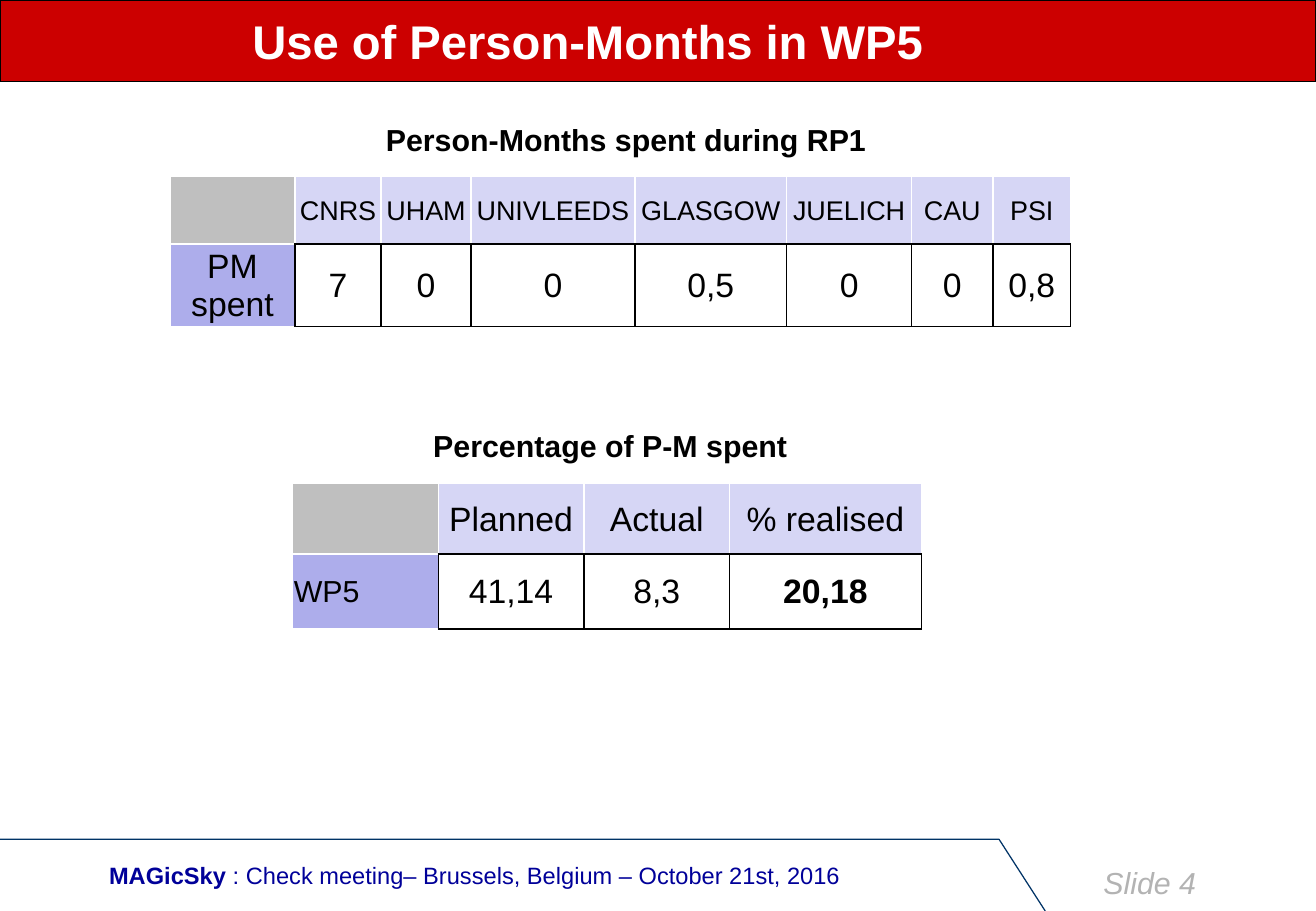
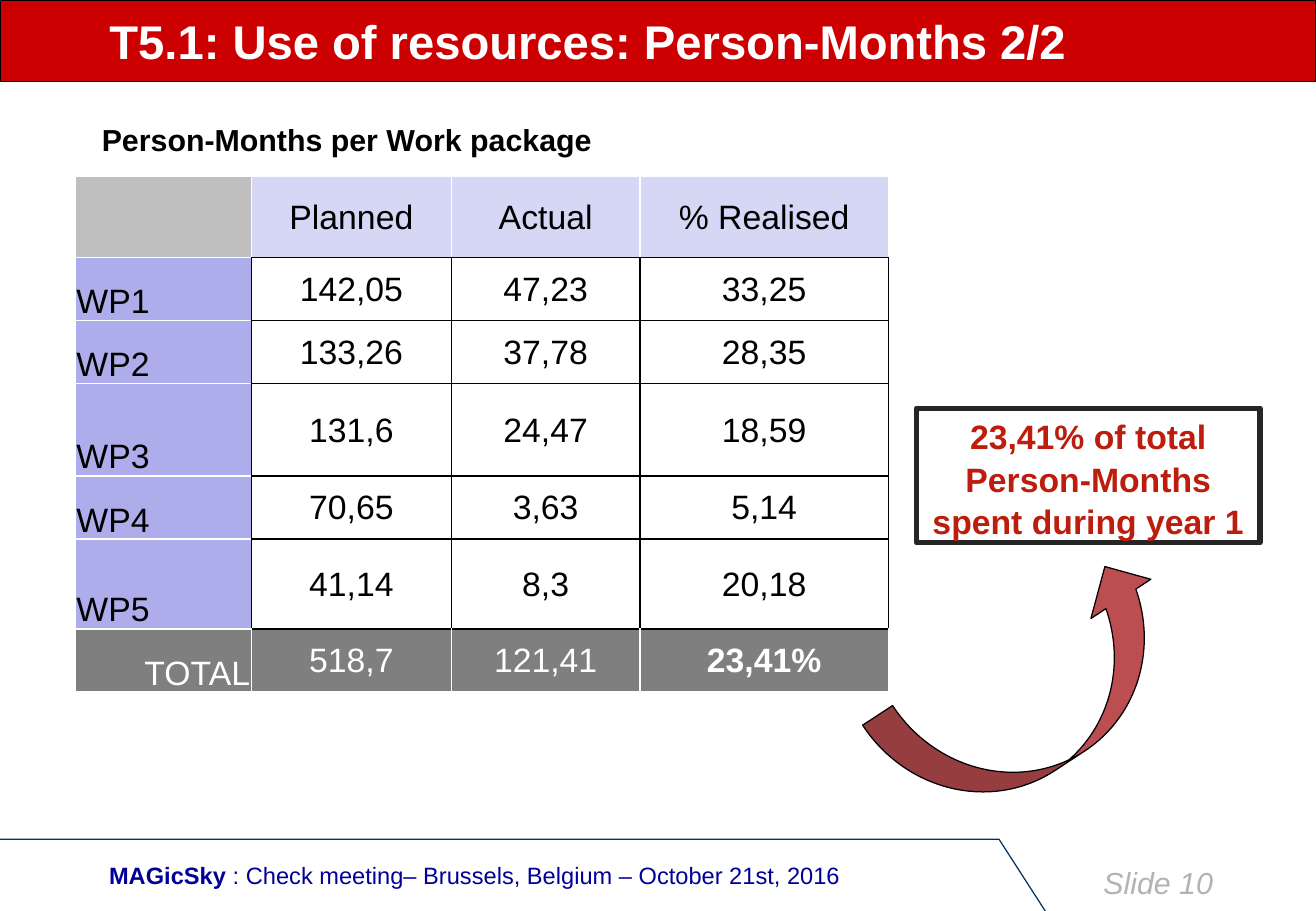
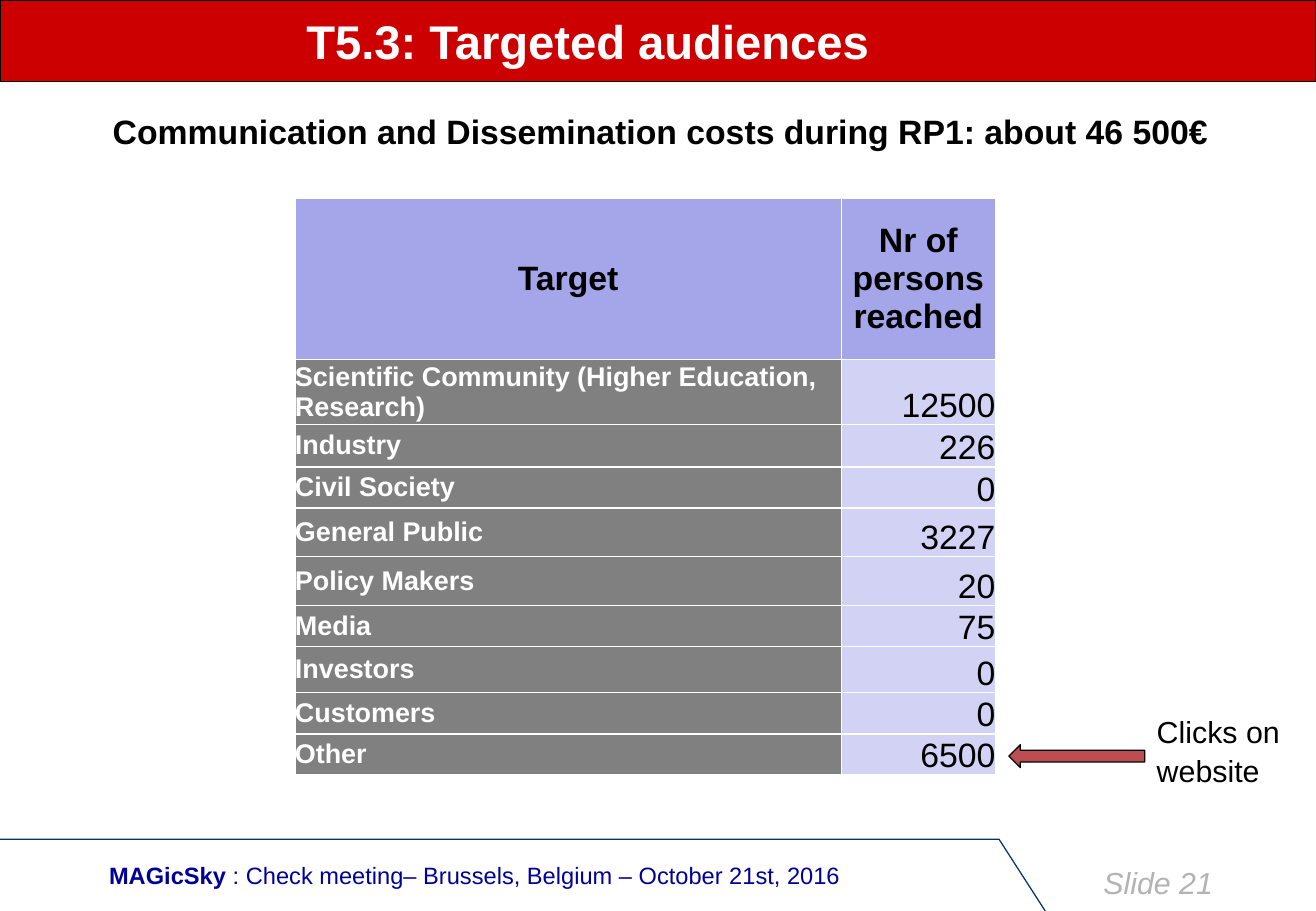
from dataclasses import dataclass

from lxml import etree
from pptx import Presentation
from pptx import util as u
from pptx.dml.color import RGBColor
from pptx.enum import shapes, text
from pptx.oxml import ns

BLACK = RGBColor(0x00, 0x00, 0x00)
WHITE = RGBColor(0xFF, 0xFF, 0xFF)
RED = RGBColor(0xCC, 0x00, 0x00)
NAVY = RGBColor(0x00, 0x33, 0x66)
BLUE = RGBColor(0x00, 0x00, 0x99)
SILVER = RGBColor(0xB3, 0xB3, 0xB3)
CORNER_GREY = RGBColor(0xBF, 0xBF, 0xBF)
TOTAL_GREY = RGBColor(0x7F, 0x7F, 0x7F)
TARGET_GREY = RGBColor(0x80, 0x80, 0x80)
LAVENDER = RGBColor(0xD6, 0xD6, 0xF5)
VIOLET = RGBColor(0xAD, 0xAD, 0xEB)
TARGET_VIOLET = RGBColor(0xA5, 0xA5, 0xE9)
TARGET_LAVENDER = RGBColor(0xD2, 0xD2, 0xF4)
BRICK = RGBColor(0xBC, 0x4D, 0x51)
CRIMSON = RGBColor(0xBC, 0x1D, 0x0C)
CHARCOAL = RGBColor(0x26, 0x26, 0x26)

FONT = "Arial"
GRID = u.Inches(0.1)
COLUMNS, ROWS = 108.4, 75
BAND_ROWS = 6.7
LEFT, CENTER, RIGHT = text.PP_ALIGN.LEFT, text.PP_ALIGN.CENTER, text.PP_ALIGN.RIGHT
MIDDLE, BOTTOM = text.MSO_ANCHOR.MIDDLE, text.MSO_ANCHOR.BOTTOM
SIDES = ("a:lnL", "a:lnR", "a:lnT", "a:lnB")


@dataclass(frozen=True)
class CellStyle:
    fill: RGBColor = None
    size: int = 20
    color: RGBColor = BLACK
    bold: bool = False
    align: int = CENTER
    anchor: int = MIDDLE
    borders: tuple = (WHITE,) * 4
    inset: float = 0.1


CORNER = CellStyle(CORNER_GREY)
HEADER = CellStyle(LAVENDER, borders=(WHITE, WHITE, WHITE, BLACK))
SMALL_HEADER = CellStyle(LAVENDER, 16, borders=HEADER.borders)
LABEL_BORDERS = (WHITE, BLACK, WHITE, WHITE)
LABEL = CellStyle(VIOLET, borders=LABEL_BORDERS)
SMALL_LABEL = CellStyle(VIOLET, 18, align=LEFT, borders=LABEL_BORDERS)
PACKAGE_LABEL = CellStyle(VIOLET, align=LEFT, anchor=BOTTOM, borders=LABEL_BORDERS)
VALUE = CellStyle(borders=(BLACK,) * 4)
TOTAL_LABEL = CellStyle(TOTAL_GREY, color=WHITE, align=RIGHT, anchor=BOTTOM)
TOTAL = CellStyle(TOTAL_GREY, color=WHITE, borders=(WHITE, WHITE, BLACK, WHITE))
TARGET_HEADER = CellStyle(TARGET_VIOLET, bold=True, inset=0)
TARGET_LABEL = CellStyle(TARGET_GREY, 16, WHITE, True, LEFT, inset=0)
TARGET_COUNT = CellStyle(TARGET_LAVENDER, align=RIGHT, anchor=BOTTOM, inset=0)


def grid(*cells):
    return [u.Emu(round(cell * GRID)) for cell in cells]


def format_run(run, size, color, bold=False, italic=False):
    run.font.name = FONT
    run.font.size = u.Pt(size)
    run.font.color.rgb = color
    run.font.bold = bold
    run.font.italic = italic


def write(text_frame, words, size, color, bold=False, italic=False, align=LEFT):
    text_frame.text = words
    paragraph = text_frame.paragraphs[0]
    paragraph.alignment = align
    for run in paragraph.runs:
        format_run(run, size, color, bold, italic)
    return paragraph


class Deck:
    def __init__(self):
        self.presentation = Presentation()
        self.presentation.slide_width, self.presentation.slide_height = grid(COLUMNS, ROWS)
        self.slide = None

    def add_slide(self, title, number):
        self.slide = self.presentation.slides.add_slide(self.presentation.slide_layouts[5])
        heading = self.slide.shapes.title
        heading.left, heading.top, heading.width, heading.height = grid(0, 0, 96.8, BAND_ROWS)
        frame = heading.text_frame
        frame.auto_size = text.MSO_AUTO_SIZE.NONE
        frame.vertical_anchor = MIDDLE
        write(frame, title, 28, WHITE, bold=True, align=CENTER)
        band = self.shape(shapes.MSO_SHAPE.RECTANGLE, (0, 0, COLUMNS, BAND_ROWS), RED)
        heading.element.addprevious(band.element)
        self.footer(number)

    def footer(self, number):
        builder = self.slide.shapes.build_freeform(*grid(0, 69.1))
        builder.add_line_segments([grid(82.3, 69.1), grid(86.1, ROWS)], close=False)
        self.finish(builder.convert_to_shape(), None, NAVY, 0.75)
        self.text(f"Slide {number}", (89.9, 70.5, 13.8, 4), 18, SILVER, italic=True)
        meeting = self.shape(shapes.MSO_SHAPE.RECTANGLE, (8, 70.4, 64.2, 3.3), WHITE, None)
        meeting.text_frame.vertical_anchor = MIDDLE
        paragraph = write(meeting.text_frame, "MAGicSky", 14, BLUE, bold=True)
        place = paragraph.add_run()
        place.text = " : Check meeting– Brussels, Belgium – October 21st, 2016"
        format_run(place, 14, BLUE)

    def finish(self, shape, fill, line, width):
        shape.shadow.inherit = False
        if fill is None:
            shape.fill.background()
        else:
            shape.fill.solid()
            shape.fill.fore_color.rgb = fill
        if line is None:
            shape.line.fill.background()
        else:
            shape.line.color.rgb = line
            shape.line.width = u.Pt(width)

    def shape(self, kind, box, fill=None, line=BLACK, width=0.75):
        shape = self.slide.shapes.add_shape(kind, *grid(*box))
        self.finish(shape, fill, line, width)
        return shape

    def text(self, words, box, size=18, color=BLACK, bold=False, italic=False):
        shape = self.slide.shapes.add_textbox(*grid(*box))
        shape.text_frame.word_wrap = True
        paragraph = write(shape.text_frame, words, size, color, bold, italic)
        paragraph.line_spacing = 1.05

    def callout(self, words, box):
        shape = self.shape(shapes.MSO_SHAPE.RECTANGLE, box, None, CHARCOAL, 3)
        shape.text_frame.vertical_anchor = text.MSO_ANCHOR.TOP
        paragraph = write(shape.text_frame, words, 20, CRIMSON, bold=True, align=CENTER)
        paragraph.line_spacing = 1.05

    def table(self, corner, widths, heights, rows, styles, bold_cell=None):
        box = grid(*corner, sum(widths), sum(heights))
        table = self.slide.shapes.add_table(len(rows), len(widths), *box).table
        table.first_row = table.horz_banding = False
        for column, width in zip(table.columns, grid(*widths)):
            column.width = width
        for row, height in zip(table.rows, grid(*heights)):
            row.height = height
        for r, (words, (first, other)) in enumerate(zip(rows, styles)):
            for c, word in enumerate(words):
                style = other if c else first
                self.cell(table.cell(r, c), word, style, style.bold or (r, c) == bold_cell)

    def cell(self, cell, words, style, bold):
        properties = cell._tc.get_or_add_tcPr()
        for side, color in zip(SIDES, style.borders):
            line = etree.SubElement(properties, ns.qn(side), w=str(u.Pt(1)))
            fill = etree.SubElement(line, ns.qn("a:solidFill"))
            etree.SubElement(fill, ns.qn("a:srgbClr"), val=str(color))
        if style.fill is None:
            cell.fill.background()
        else:
            cell.fill.solid()
            cell.fill.fore_color.rgb = style.fill
        cell.margin_left, cell.margin_right, cell.margin_top = grid(*[style.inset] * 3)
        cell.margin_bottom = 0
        cell.vertical_anchor = style.anchor
        write(cell.text_frame, words, style.size, style.color, bold, align=style.align)


def person_months(deck):
    deck.add_slide("Use of Person-Months in WP5", 4)
    deck.table(
        (24.1, 39.8), (12, 12, 12, 15.8), (5.8, 6.2),
        [("", "Planned", "Actual", "% realised"), ("WP5", "41,14", "8,3", "20,18")],
        [(CORNER, HEADER), (SMALL_LABEL, VALUE)], bold_cell=(1, 3))
    deck.table(
        (14, 14.5), (10.3, 7.1, 7.4, 13.5, 12.5, 10.3, 6.7, 6.4), (5.6, 6.2),
        [("", "CNRS", "UHAM", "UNIVLEEDS", "GLASGOW", "JUELICH", "CAU", "PSI"),
         ("PM spent", "7", "0", "0", "0,5", "0", "0", "0,8")],
        [(CORNER, SMALL_HEADER), (LABEL, VALUE)])
    deck.text("Person-Months spent during RP1", (30.8, 9.3, 43.5, 4), bold=True)
    deck.text("Percentage of P-M spent", (34.7, 34.5, 35.6, 4), bold=True)


def work_packages(deck):
    deck.add_slide("T5.1: Use of resources: Person-Months 2/2", 10)
    deck.text("Person-Months per Work package", (7.4, 9.3, 44.6, 4), bold=True)
    rows = [
        ("", "Planned", "Actual", "% Realised"),
        ("WP1", "142,05", "47,23", "33,25"),
        ("WP2", "133,26", "37,78", "28,35"),
        ("WP3", "131,6", "24,47", "18,59"),
        ("WP4", "70,65", "3,63", "5,14"),
        ("WP5", "41,14", "8,3", "20,18"),
        ("TOTAL", "518,7", "121,41", "23,41%"),
    ]
    styles = [(CORNER, HEADER), *[(PACKAGE_LABEL, VALUE)] * 5, (TOTAL_LABEL, TOTAL)]
    deck.table((6.2, 14.5), (14.5, 16.5, 15.5, 20.5), (6.7, 5.2, 5.2, 7.6, 5.2, 7.4, 5.2),
               rows, styles, bold_cell=(6, 3))
    deck.callout("23,41% of total Person-Months spent during year 1", (75.5, 33.6, 28.3, 11.1))
    arrow = deck.shape(shapes.MSO_SHAPE.CURVED_UP_ARROW, (72.1, 51.4, 26.8, 11.8), BRICK)
    arrow.rotation = 326.8


def audiences(deck):
    deck.add_slide("T5.3: Targeted audiences", 21)
    deck.text("Communication and Dissemination costs during RP1: about 46 500€",
              (8.3, 8.5, 93.8, 7.7), 20, bold=True)
    rows = [
        ("Target", "Nr of persons reached"),
        ("Scientific Community (Higher Education, Research)", "12500"),
        ("Industry", "226"),
        ("Civil Society", "0"),
        ("General Public", "3227"),
        ("Policy Makers", "20"),
        ("Media", "75"),
        ("Investors", "0"),
        ("Customers", "0"),
        ("Other", "6500"),
    ]
    styles = [(TARGET_HEADER, TARGET_HEADER), *[(TARGET_LABEL, TARGET_COUNT)] * 9]
    deck.table((24.3, 16.3), (45, 12.7), (13.3, 5.3, 3.5, 3.4, 4, 4, 3.4, 3.8, 3.4, 3.3),
               rows, styles)
    deck.shape(shapes.MSO_SHAPE.LEFT_ARROW, (83.1, 61.3, 11.2, 1.9), BRICK)
    deck.text("Clicks on website", (94.3, 58.1, 13.1, 7.1))


def main():
    deck = Deck()
    for build in (person_months, work_packages, audiences):
        build(deck)
    deck.presentation.save("out.pptx")


if __name__ == "__main__":
    main()
